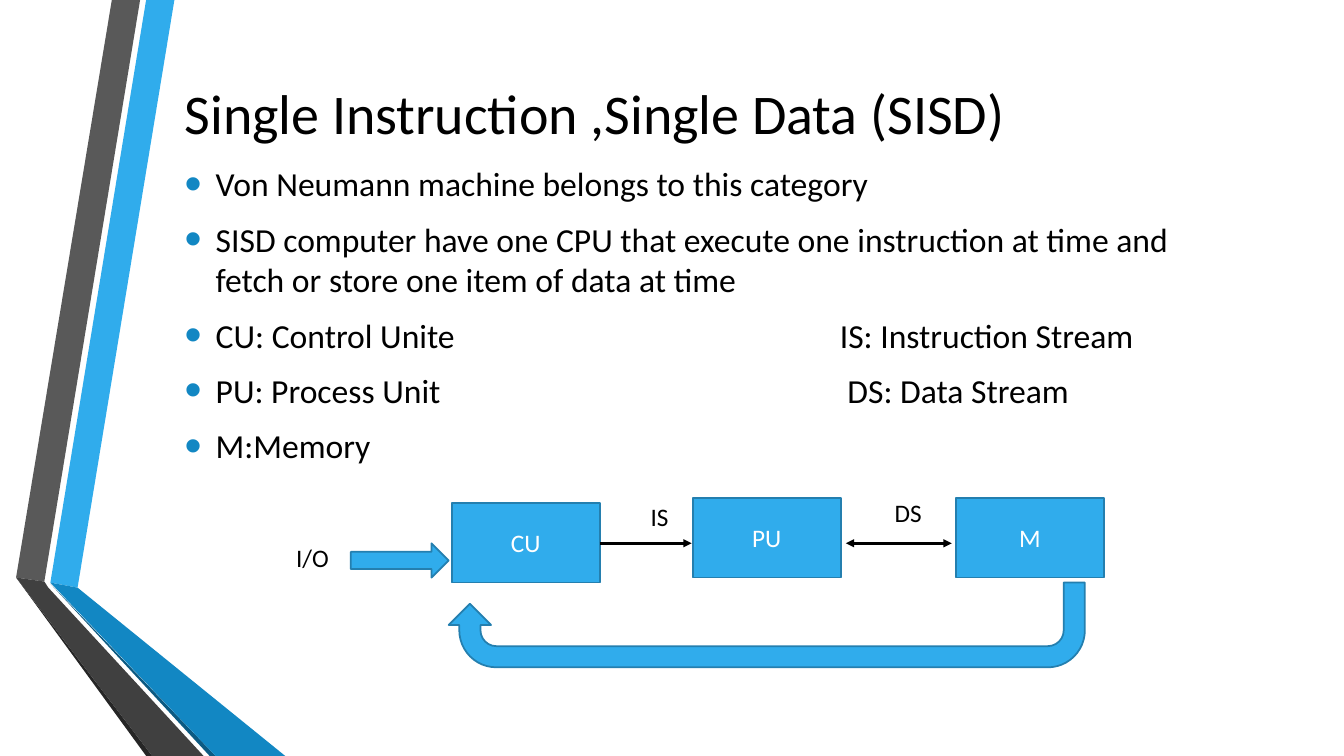
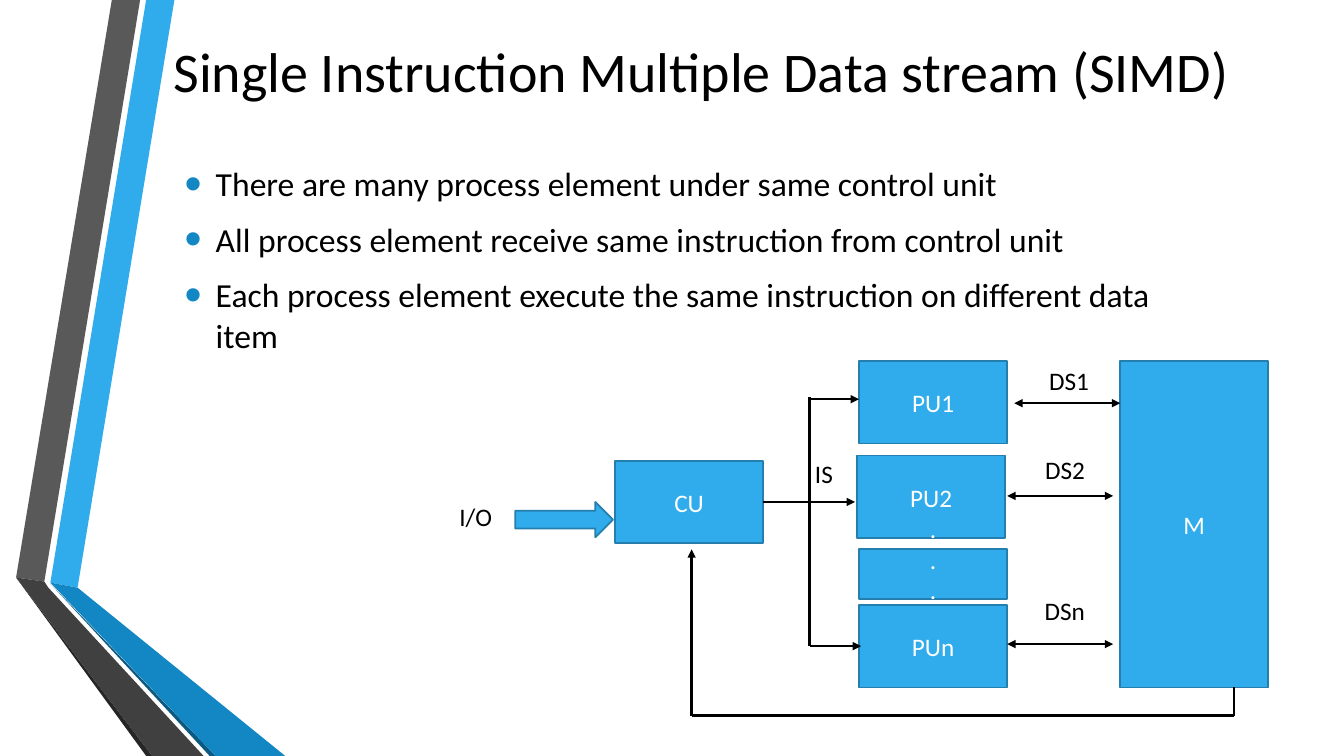
from dataclasses import dataclass

from lxml import etree
from pptx import Presentation
from pptx.dml.color import RGBColor
from pptx.enum.shapes import MSO_CONNECTOR, MSO_SHAPE
from pptx.enum.text import MSO_ANCHOR, MSO_AUTO_SIZE, PP_ALIGN
from pptx.oxml.ns import qn
from pptx.util import Inches, Pt

RECTANGLE = MSO_SHAPE.RECTANGLE
RIGHT_ARROW = MSO_SHAPE.RIGHT_ARROW
U_TURN_ARROW = MSO_SHAPE.U_TURN_ARROW
STRAIGHT = MSO_CONNECTOR.STRAIGHT
LEFT, CENTER, RIGHT = PP_ALIGN.LEFT, PP_ALIGN.CENTER, PP_ALIGN.RIGHT
TOP, MIDDLE = MSO_ANCHOR.TOP, MSO_ANCHOR.MIDDLE
NO_AUTOSIZE = MSO_AUTO_SIZE.NONE

FONT = "Calibri"
BLACK, WHITE = "000000", "FFFFFF"
BLUE, BLUE_EDGE, BLUE_DEEP = "30ACEC", "247FAF", "1287C3"
TITLE_SIZE, BODY_SIZE, DIAGRAM_SIZE = 40, 24, 18
BULLET_INDENT = 0.31
SECOND_COLUMN = 6.5
BOX_WIDTH = 1.47


@dataclass(frozen=True)
class Ribbon:
    color: str
    points: tuple[tuple[float, float], ...]


@dataclass(frozen=True)
class Box:
    left: float
    top: float
    height: float
    lines: tuple[str, ...]
    bottom_margin: float = 0.05


@dataclass(frozen=True)
class Label:
    left: float
    top: float
    width: float
    text: str


@dataclass(frozen=True)
class Line:
    start: tuple[float, float]
    end: tuple[float, float]
    head: bool = False
    tail: bool = False


@dataclass(frozen=True)
class Arrow:
    kind: int
    left: float
    top: float
    width: float
    height: float
    rotation: float = 0


@dataclass(frozen=True)
class SlideContent:
    title: str
    title_left: float
    title_top: float
    bullets: tuple[str, ...]
    boxes: tuple[Box, ...]
    labels: tuple[Label, ...]
    lines: tuple[Line, ...]
    arrows: tuple[Arrow, ...]


RIBBONS = (
    Ribbon(BLUE, ((0.5, 5.78), (0.77, 5.83), (1.73, 0), (1.45, 0))),
    Ribbon("595959", ((1.39, 0), (1.11, 0), (0.16, 5.73), (0.44, 5.77))),
    Ribbon("262626", ((0.16, 5.73), (1.45, 7.5), (1.51, 7.5))),
    Ribbon("0C5A82", ((0.5, 5.79), (2.08, 7.5), (2.14, 7.5))),
    Ribbon(BLUE_DEEP, ((0.5, 5.78), (2.14, 7.5), (2.83, 7.5), (0.77, 5.83))),
    Ribbon("404040", ((2.02, 7.5), (0.48, 5.83), (0.44, 5.77), (0.16, 5.73), (1.51, 7.5))),
)


def two_way(right: float, y: float) -> Line:
    """A memory link with a head at both ends."""
    return Line((right, y), (right - 1.05, y), head=True, tail=True)


SISD = SlideContent(
    title="Single Instruction ,Single Data (SISD)",
    title_left=1.73,
    title_top=0.64,
    bullets=(
        "Von Neumann machine belongs to this category",
        "SISD computer have one CPU that execute one instruction at time and "
        "fetch or store one item of data at time",
        "CU: Control Unite \tIS: Instruction Stream",
        "PU: Process Unit\t DS: Data Stream",
        "M:Memory",
    ),
    boxes=(
        Box(4.48, 4.99, 0.79, ("CU",)),
        Box(6.87, 4.94, 0.79, ("PU",)),
        Box(9.48, 4.94, 0.79, ("M",)),
    ),
    labels=(
        Label(2.83, 5.33, 0.53, "I/O"),
        Label(6.2, 4.92, 0.53, "IS"),
        Label(8.6, 4.88, 0.64, "DS"),
    ),
    lines=(Line((5.95, 5.39), (6.86, 5.39), tail=True), two_way(9.44, 5.39)),
    arrows=(
        Arrow(RIGHT_ARROW, 3.48, 5.39, 0.97, 0.34),
        Arrow(U_TURN_ARROW, 4.45, 5.78, 6.31, 0.84, rotation=180),
    ),
)

SIMD = SlideContent(
    title="Single Instruction Multiple Data stream (SIMD)",
    title_left=1.62,
    title_top=0.23,
    bullets=(
        "There are many process element under same control unit",
        "All process element receive same instruction from control unit",
        "Each process element execute the same instruction on different data item",
    ),
    boxes=(
        Box(6.1, 4.57, 0.82, ("CU",)),
        Box(8.52, 3.58, 0.82, ("PU1",)),
        Box(8.5, 4.52, 0.82, ("PU2",)),
        Box(8.52, 6, 0.82, ("PUn",)),
        Box(8.52, 5.45, 0.49, (".", ".", "."), bottom_margin=0.35),
        Box(11.11, 3.58, 3.24, ("M",)),
    ),
    labels=(
        Label(4.45, 4.92, 0.53, "I/O"),
        Label(7.83, 4.5, 0.53, "IS"),
        Label(10.26, 3.58, 0.64, "DS1"),
        Label(10.22, 4.46, 0.64, "DS2"),
        Label(10.2, 5.86, 0.66, "DSn"),
    ),
    lines=(
        # Instruction stream
        Line((7.57, 4.98), (8.48, 4.98), tail=True),
        Line((8.03, 3.94), (8.03, 6.41)),
        Line((8.03, 3.96), (8.52, 3.96), tail=True),
        Line((8.03, 6.41), (8.54, 6.41), tail=True),
        # Return from memory to control unit
        Line((12.24, 6.82), (12.24, 7.1)),
        Line((12.24, 7.1), (6.86, 7.1)),
        Line((6.86, 7.1), (6.86, 5.45), tail=True),
        # Data streams
        two_way(11.11, 4),
        two_way(11.04, 4.92),
        two_way(11.04, 6.39),
    ),
    arrows=(Arrow(RIGHT_ARROW, 5.11, 4.98, 0.97, 0.35),),
)


def rgb(value: str) -> RGBColor:
    return RGBColor.from_string(value)


def place(shape, left: float, top: float, width: float, height: float) -> None:
    shape.left, shape.top = Inches(left), Inches(top)
    shape.width, shape.height = Inches(width), Inches(height)


def add_run(paragraph, text: str, size: float, color: str) -> None:
    run = paragraph.add_run()
    run.text = text
    run.font.name = FONT
    run.font.size = Pt(size)
    run.font.color.rgb = rgb(color)


def prepare_frame(shape, anchor):
    frame = shape.text_frame
    frame.word_wrap = True
    frame.auto_size = NO_AUTOSIZE
    frame.vertical_anchor = anchor
    return frame


def add_bullet(paragraph) -> None:
    """Hanging round bullet, with one tab stop for the second column."""
    properties = paragraph._p.get_or_add_pPr()
    properties.set("marL", str(Inches(BULLET_INDENT)))
    properties.set("indent", str(-Inches(BULLET_INDENT)))
    color = etree.SubElement(properties, qn("a:buClr"))
    etree.SubElement(color, qn("a:srgbClr"), val=BLUE_DEEP)
    etree.SubElement(properties, qn("a:buSzPct"), val="145000")
    etree.SubElement(properties, qn("a:buFont"), typeface="Arial")
    etree.SubElement(properties, qn("a:buChar"), char="•")
    tabs = etree.SubElement(properties, qn("a:tabLst"))
    etree.SubElement(tabs, qn("a:tab"), pos=str(Inches(SECOND_COLUMN)), algn="l")


def draw_ribbons(slide, layout) -> None:
    """Draw the side ribbons and hand them to the shared layout."""
    for ribbon in RIBBONS:
        points = [(Inches(x), Inches(y)) for x, y in ribbon.points]
        builder = slide.shapes.build_freeform(*points[0])
        builder.add_line_segments(points[1:], close=True)
        shape = builder.convert_to_shape()
        shape.shadow.inherit = False
        shape.fill.solid()
        shape.fill.fore_color.rgb = rgb(ribbon.color)
        shape.line.fill.background()
        layout.shapes.element.append(shape.element)


def write_text(slide, content: SlideContent) -> None:
    title = slide.shapes.title
    place(title, content.title_left, content.title_top, 10.96, 0.94)
    paragraph = prepare_frame(title, MIDDLE).paragraphs[0]
    paragraph.alignment = LEFT
    add_run(paragraph, content.title, TITLE_SIZE, BLACK)

    body = slide.placeholders[1]
    place(body, 1.73, 1.57, 10.33, 5.53)
    frame = prepare_frame(body, TOP)
    for index, text in enumerate(content.bullets):
        paragraph = frame.add_paragraph() if index else frame.paragraphs[0]
        add_bullet(paragraph)
        paragraph.space_before = Pt(4.8 if index else 0)
        paragraph.space_after = Pt(6)
        add_run(paragraph, text, BODY_SIZE, BLACK)


def add_blue_shape(slide, kind, left: float, top: float, width: float, height: float):
    shape = slide.shapes.add_shape(
        kind, Inches(left), Inches(top), Inches(width), Inches(height))
    shape.shadow.inherit = False
    shape.fill.solid()
    shape.fill.fore_color.rgb = rgb(BLUE)
    shape.line.color.rgb = rgb(BLUE_EDGE)
    shape.line.width = Pt(1.25)
    return shape


def draw_box(slide, box: Box) -> None:
    shape = add_blue_shape(slide, RECTANGLE, box.left, box.top, BOX_WIDTH, box.height)
    frame = prepare_frame(shape, MIDDLE)
    frame.margin_bottom = Inches(box.bottom_margin)
    for index, text in enumerate(box.lines):
        paragraph = frame.add_paragraph() if index else frame.paragraphs[0]
        paragraph.alignment = CENTER
        add_run(paragraph, text, DIAGRAM_SIZE, WHITE)


def draw_label(slide, label: Label) -> None:
    shape = slide.shapes.add_textbox(
        Inches(label.left), Inches(label.top), Inches(label.width), Inches(0.4))
    frame = prepare_frame(shape, TOP)
    frame.margin_left = 0
    paragraph = frame.paragraphs[0]
    paragraph.alignment = RIGHT
    add_run(paragraph, label.text, DIAGRAM_SIZE, BLACK)


def draw_line(slide, line: Line) -> None:
    ends = [Inches(value) for value in (*line.start, *line.end)]
    connector = slide.shapes.add_connector(STRAIGHT, *ends)
    connector.line.color.rgb = rgb(BLACK)
    connector.line.width = Pt(1.75)
    properties = connector.element.spPr
    outline = properties.find(qn("a:ln"))
    for shown, tag in ((line.head, "a:headEnd"), (line.tail, "a:tailEnd")):
        if shown:
            etree.SubElement(outline, qn(tag), type="triangle")
    etree.SubElement(properties, qn("a:effectLst"))


def draw_diagram(slide, content: SlideContent) -> None:
    for box in content.boxes:
        draw_box(slide, box)
    for arrow in content.arrows:
        shape = add_blue_shape(
            slide, arrow.kind, arrow.left, arrow.top, arrow.width, arrow.height)
        shape.rotation = arrow.rotation
    for label in content.labels:
        draw_label(slide, label)
    for line in content.lines:
        draw_line(slide, line)


def main() -> None:
    presentation = Presentation()
    presentation.slide_width = Inches(13.33)
    presentation.slide_height = Inches(7.5)
    layout = presentation.slide_layouts[1]
    for index, content in enumerate((SISD, SIMD)):
        slide = presentation.slides.add_slide(layout)
        if index == 0:
            draw_ribbons(slide, layout)
        write_text(slide, content)
        draw_diagram(slide, content)
    presentation.save("out.pptx")


if __name__ == "__main__":
    main()
